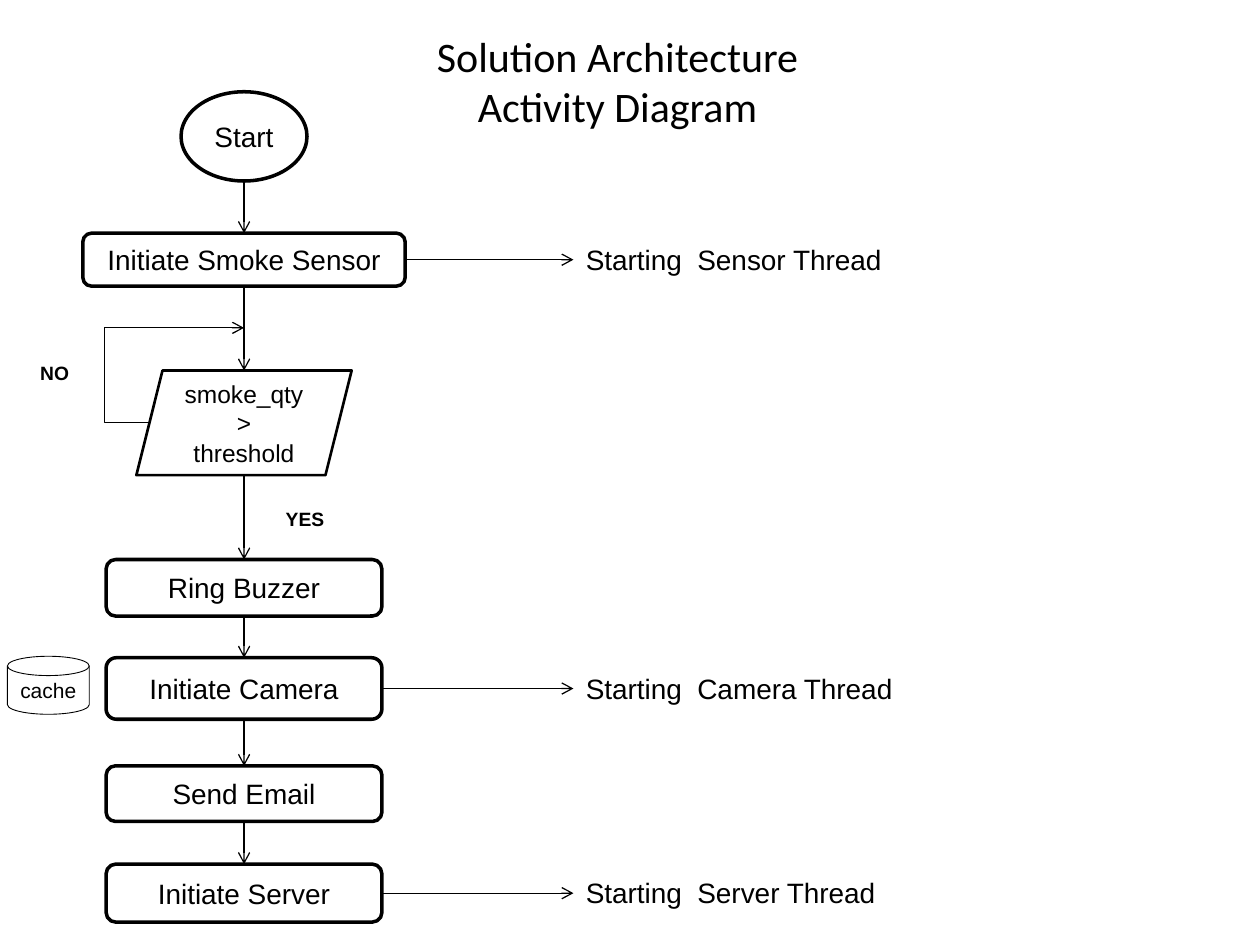
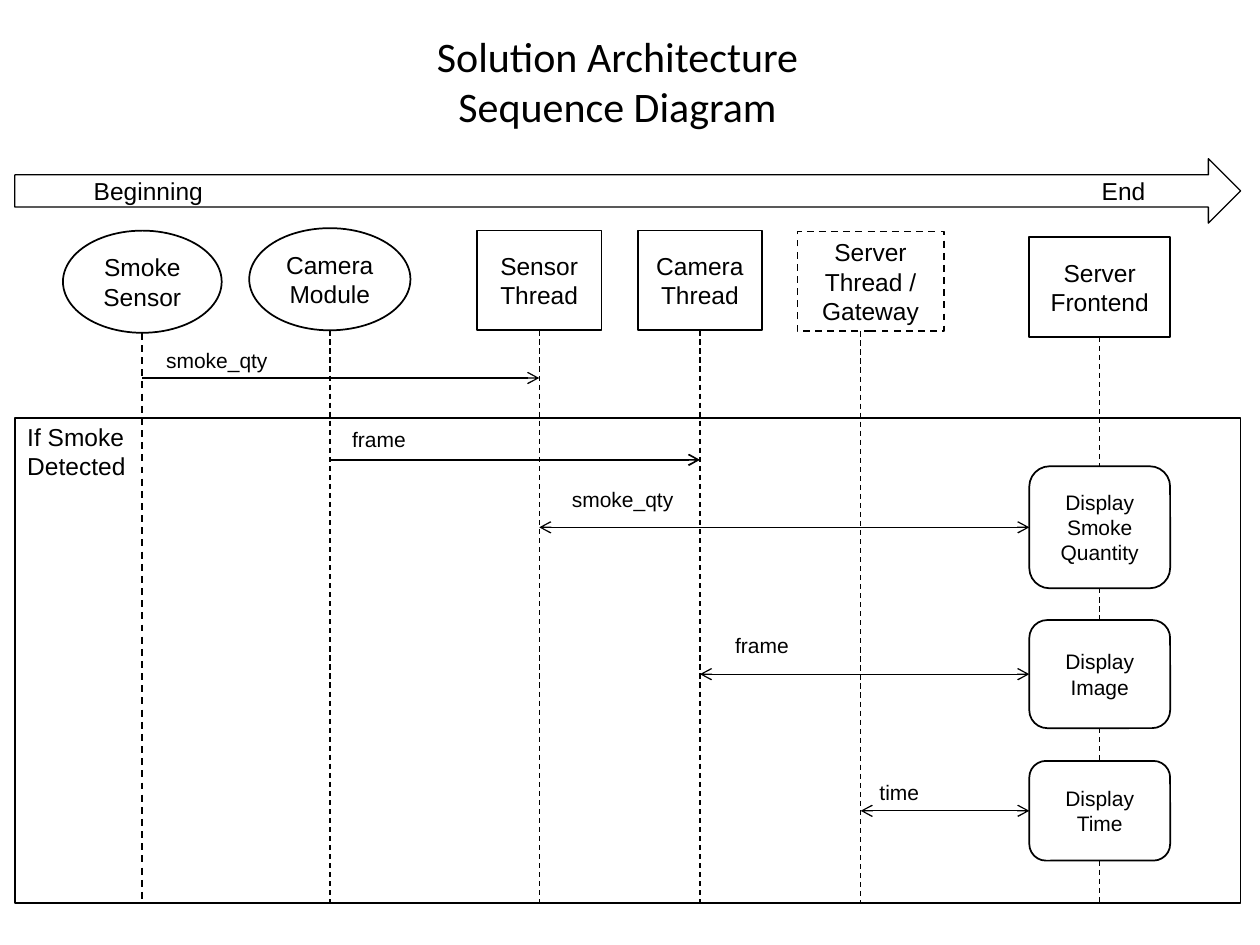
from dataclasses import dataclass
from itertools import pairwise

from pptx import Presentation
from pptx.dml.color import RGBColor
from pptx.enum.dml import MSO_LINE
from pptx.enum.shapes import MSO_CONNECTOR as LINK, MSO_SHAPE as SHAPE
from pptx.enum.text import MSO_ANCHOR as ANCHOR, PP_ALIGN as ALIGN
from pptx.oxml.ns import qn
from pptx.util import Cm, Pt
from lxml.etree import SubElement


@dataclass(frozen=True)
class Theme:
    ink: RGBColor = RGBColor(0, 0, 0)
    paper: RGBColor = RGBColor(255, 255, 255)
    font: str = "Arial"
    title_font: str = "Calibri"
    title: int = 24
    step: int = 16
    body: int = 14
    small: int = 12
    tag: int = 11
    hair: float = 0.5
    thin: float = 0.75
    medium: float = 1
    strong: float = 1.5
    heavy: float = 2


T = Theme()


@dataclass(frozen=True)
class Box:
    x: float
    y: float
    w: float
    h: float

    @property
    def cy(self):
        return self.y + self.h / 2

    @property
    def right(self):
        return self.x + self.w

    @property
    def bottom(self):
        return self.y + self.h

    def sub(self, x, y, w, h):
        return Box(self.x + x, self.y + y, w, h)

    def emu(self):
        return [Cm(v) for v in (self.x, self.y, self.w, self.h)]


def put_text(sp, text, size=T.body, font=T.font, bold=False,
             align=ALIGN.CENTER, anchor=ANCHOR.MIDDLE, wrap=True):
    tf = sp.text_frame
    tf.text = text
    tf.word_wrap = wrap
    tf.vertical_anchor = anchor
    for p in tf.paragraphs:
        p.alignment = align
        for r in p.runs:
            r.font.size = Pt(size)
            r.font.name = font
            r.font.bold = bold
            r.font.color.rgb = T.ink


def label(s, box, text, **fmt):
    fmt = {"align": ALIGN.LEFT, "anchor": ANCHOR.TOP, **fmt}
    put_text(s.shapes.add_textbox(*box.emu()), text, **fmt)


def node(s, kind, box, text="", width=T.medium, dashed=False, **fmt):
    sp = s.shapes.add_shape(kind, *box.emu())
    sp.shadow.inherit = False
    sp.fill.solid()
    sp.fill.fore_color.rgb = T.paper
    sp.line.color.rgb = T.ink
    sp.line.width = Pt(width)
    if dashed:
        sp.line.dash_style = MSO_LINE.DASH
    put_text(sp, text, **fmt)
    return sp


def link(s, start, end, width=T.thin, dashed=False, ends=(), bend=None):
    kind = LINK.STRAIGHT if bend is None else LINK.ELBOW
    c = s.shapes.add_connector(kind, *[Cm(v) for v in (*start, *end)])
    c.line.color.rgb = T.ink
    c.line.width = Pt(width)
    if dashed:
        c.line.dash_style = MSO_LINE.DASH
    for tag in ends:
        SubElement(c.line._ln, qn(f"a:{tag}"), type="arrow")
    spPr = c._element.spPr
    SubElement(spPr, qn("a:effectLst"))
    if bend is not None:
        guides = spPr.find(qn("a:prstGeom")).find(qn("a:avLst"))
        SubElement(guides, qn("a:gd"), name="adj1", fmla=f"val {round(bend * 100000)}")


ARROW = ("tailEnd",)
BOTH = ("headEnd", "tailEnd")


def title(s, box, text):
    label(s, box, text, size=T.title, font=T.title_font,
          align=ALIGN.CENTER, anchor=ANCHOR.MIDDLE)


def activity_flow(s, box):
    axis = 4.77
    thread_x = box.x + 11.41
    rounded = SHAPE.ROUNDED_RECTANGLE
    steps = [
        ("Start", SHAPE.OVAL, 0, 2.54, 1.8, None),
        ("Initiate Smoke Sensor", rounded, 2.85, 6.5, 1.07, "Starting  Sensor Thread"),
        ("smoke_qty >\nthreshold", SHAPE.PARALLELOGRAM, 5.62, 4.34, 2.11, None),
        ("Ring Buzzer", rounded, 9.43, 5.56, 1.14, None),
        ("Initiate Camera", rounded, 11.41, 5.56, 1.24, "Starting  Camera Thread"),
        ("Send Email", rounded, 13.59, 5.56, 1.12, None),
        ("Initiate Server", rounded, 15.57, 5.56, 1.17, "Starting  Server Thread"),
    ]
    placed = []
    for text, kind, y, w, h, thread in steps:
        b = box.sub(axis - w / 2, y, w, h)
        placed.append(b)
        test = kind == SHAPE.PARALLELOGRAM
        node(s, kind, b, text, width=T.strong if test else T.heavy,
             size=T.body if test else T.step)
        if thread:
            link(s, (b.right, b.cy), (thread_x, b.cy), ends=ARROW)
            label(s, Box(thread_x, b.cy - 0.47, 7.26, 0.94), thread, size=T.step)
    x = box.x + axis
    for a, b in pairwise(placed):
        link(s, (x, a.bottom), (x, b.y), ends=ARROW)

    test = placed[2]
    link(s, (test.x + 0.26, test.cy), (x, test.y - 0.86), ends=ARROW, bend=-0.47)
    for text, x, y, w in [("NO", 0.41, 5.31, 1.09), ("YES", 5.36, 8.26, 1.3)]:
        label(s, box.sub(x, y, w, 0.74), text, size=T.tag, bold=True, wrap=False)
    node(s, SHAPE.FLOWCHART_MAGNETIC_DISK, box.sub(0, 11.38, 1.65, 1.17), "cache",
         width=T.hair, size=T.small, wrap=False)


def timeline(s, box):
    sp = node(s, SHAPE.RIGHT_ARROW, box, "Beginning\tEnd", width=T.thin, align=ALIGN.LEFT)
    sp.text_frame.margin_left = Cm(1.59)
    pPr = sp.text_frame.paragraphs[0]._p.get_or_add_pPr()
    tabs = SubElement(pPr, qn("a:tabLst"))
    SubElement(tabs, qn("a:tab"), pos=str(Cm(20.32)), algn="l")


def sequence(s, box):
    frame = box.sub(0, 5.23, box.w, box.h - 5.23)
    node(s, SHAPE.RECTANGLE, frame)
    label(s, frame.sub(0, -0.05, 7.98, 1.57), "If Smoke\nDetected")
    timeline(s, box.sub(0, 0, box.w, 1.3))

    actors = [
        ("Smoke Sensor", SHAPE.OVAL, 2.57, 1.45, 3.2, 2.06),
        ("Camera\nModule", SHAPE.OVAL, 6.35, 1.4, 3.25, 2.06),
        ("Sensor Thread", SHAPE.RECTANGLE, 10.57, 1.45, 2.51, 2.01),
        ("Camera Thread", SHAPE.RECTANGLE, 13.81, 1.45, 2.51, 2.01),
        ("Server Thread / Gateway", SHAPE.RECTANGLE, 17.05, 1.47, 2.95, 2.01),
        ("Server Frontend", SHAPE.RECTANGLE, 21.87, 1.58, 2.84, 2.01),
    ]
    axes, heads = [], []
    for text, kind, x, y, w, h in actors:
        gateway = "Gateway" in text
        shift = 0.2 if gateway else 0
        head = box.sub(x - w / 2 + shift, y, w, h)
        node(s, kind, head, text, dashed=gateway)
        axes.append(box.x + x)
        heads.append(head)

    smoke, camera, sensor_thread, camera_thread, gateway, frontend = axes
    for x, head in zip(axes[:-1], heads):
        link(s, (x, head.bottom), (x, box.bottom), dashed=True,
             width=T.medium if x == smoke else T.thin)

    displays = []
    for text, y, h in [("Display Smoke Quantity", 6.2, 2.46),
                       ("Display Image", 9.3, 2.18), ("Display Time", 12.14, 2.01)]:
        b = box.sub(20.45, y, 2.84, h)
        displays.append(b)
        node(s, SHAPE.ROUNDED_RECTANGLE, b, text, size=T.small)
    end = Box(frontend, box.bottom, 0, 0)
    for a, b in pairwise([heads[-1], *displays, end]):
        link(s, (frontend, a.bottom), (frontend, b.y), dashed=True)

    quantity, image, time = displays
    messages = [
        ("smoke_qty", smoke, sensor_thread, box.y + 4.42, 0.23, 0.74, 2.57, ARROW),
        ("frame", camera, camera_thread, box.y + 6.07, 0.2, 0.79, 1.6, ARROW),
        ("smoke_qty", sensor_thread, quantity.x, quantity.cy, 0.41, 0.94, 2.57, BOTH),
        ("frame", camera_thread, image.x, image.cy, 0.46, 0.96, 1.6, BOTH),
        ("time", gateway, time.x, time.cy, 0.13, 0.76, 1.32, BOTH),
    ]
    for text, x1, x2, y, indent, rise, w, ends in messages:
        link(s, (x1, y), (x2, y), ends=ends, width=T.medium if x1 == camera else T.thin)
        label(s, Box(x1 + indent, y - rise, w, 0.76), text, size=T.small, wrap=False)


def main():
    prs = Presentation()
    prs.slide_width, prs.slide_height = Cm(25.4), Cm(19.05)
    blank = prs.slide_layouts[6]
    pages = [
        ("Activity", activity_flow, Box(0.15, 1.85, 8.15, 16.74)),
        ("Sequence", sequence, Box(0.3, 3.2, 24.71, 15.01)),
    ]
    for name, draw, box in pages:
        s = prs.slides.add_slide(blank)
        title(s, Box(1.68, 0, 21.54, 3.25), f"Solution Architecture\v{name} Diagram")
        draw(s, box)
    prs.save("out.pptx")


if __name__ == "__main__":
    main()
